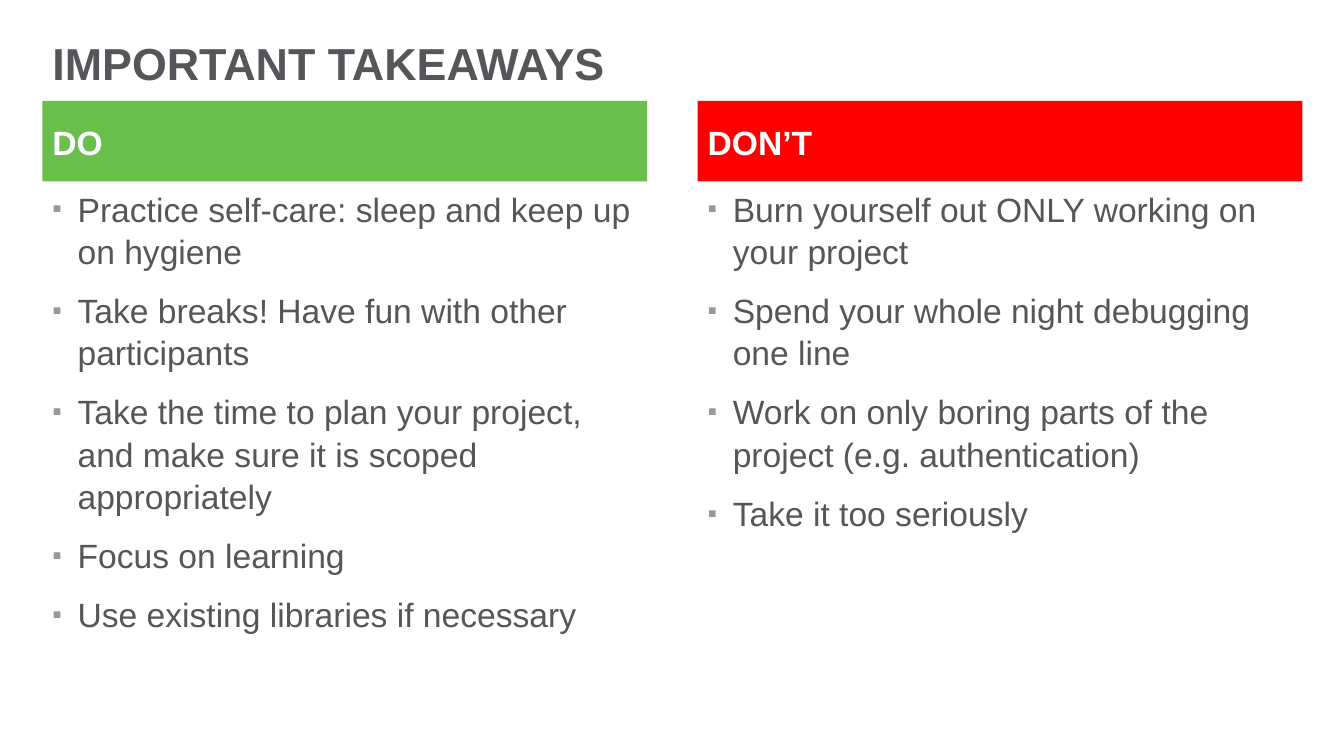
from lxml import etree
from pptx import Presentation
from pptx.dml.color import RGBColor
from pptx.enum.text import MSO_ANCHOR, MSO_AUTO_SIZE, PP_ALIGN
from pptx.oxml.ns import qn
from pptx.util import Pt

GREY = RGBColor(0x56, 0x56, 0x5A)
BULLET_GREY = RGBColor(0x98, 0x98, 0x9A)
GREEN = RGBColor(0x6A, 0xBF, 0x4B)
RED = RGBColor(0xFF, 0x00, 0x00)
WHITE = RGBColor(0xFF, 0xFF, 0xFF)

LEFT, COLUMN_STEP, COLUMN_WIDTH = 30.24, 468, 432

TITLE_FONT = dict(name="Arial", size=Pt(32), bold=True)
HEADER_FONT = dict(name="Arial", size=Pt(24), bold=True)
LIST_FONT = dict(name="Arial", size=Pt(24), bold=False)

TITLE_SPACING = dict(alignment=PP_ALIGN.LEFT, line_spacing=0.9,
                     space_before=Pt(0), space_after=Pt(0))
BODY_SPACING = dict(alignment=PP_ALIGN.LEFT, line_spacing=1.05,
                    space_before=Pt(0), space_after=Pt(12))

COLUMNS = [
    ("DO", GREEN, [
        "Practice self-care: sleep and keep up on hygiene",
        "Take breaks! Have fun with other participants",
        "Take the time to plan your project, and make sure it is scoped appropriately",
        "Focus on learning",
        "Use existing libraries if necessary",
    ]),
    ("DON’T", RED, [
        "Burn yourself out ONLY working on your project",
        "Spend your whole night debugging one line",
        "Work on only boring parts of the project (e.g. authentication)",
        "Take it too seriously",
    ]),
]


def set_attributes(target, values):
    for name, value in values.items():
        setattr(target, name, value)


def place(sp, left, top, width, height, anchor, inset_top, inset_bottom):
    set_attributes(sp, dict(left=Pt(left), top=Pt(top),
                            width=Pt(width), height=Pt(height)))
    tf = sp.text_frame
    set_attributes(tf, dict(
        word_wrap=True, auto_size=MSO_AUTO_SIZE.NONE, vertical_anchor=anchor,
        margin_left=Pt(7.2), margin_right=Pt(7.2),
        margin_top=Pt(inset_top), margin_bottom=Pt(inset_bottom)))
    return tf


def write(p, text, spacing, font, color):
    set_attributes(p, spacing)
    r = p.add_run()
    r.text = text
    set_attributes(r.font, font)
    r.font.color.rgb = color


def add_bullet(p):
    pPr = p._p.get_or_add_pPr()
    pPr.set("marL", str(Pt(18)))
    pPr.set("indent", str(-Pt(18)))
    color = etree.SubElement(pPr, qn("a:buClr"))
    etree.SubElement(color, qn("a:srgbClr"), val=str(BULLET_GREY))
    etree.SubElement(pPr, qn("a:buSzPct"), val="80000")
    etree.SubElement(pPr, qn("a:buFont"), typeface="Arial")
    etree.SubElement(pPr, qn("a:buChar"), char="▪")


def fill_title(sp, text):
    tf = place(sp, LEFT, 18, 900, 54, MSO_ANCHOR.MIDDLE, 3.6, 0)
    write(tf.paragraphs[0], text, TITLE_SPACING, TITLE_FONT, GREY)


def fill_header(sp, left, text, color):
    tf = place(sp, left, 72, COLUMN_WIDTH, 57.6, MSO_ANCHOR.MIDDLE, 0, 0)
    sp.fill.solid()
    sp.fill.fore_color.rgb = color
    write(tf.paragraphs[0], text, BODY_SPACING, HEADER_FONT, WHITE)


def fill_list(sp, left, items):
    tf = place(sp, left, 126, COLUMN_WIDTH, 378, MSO_ANCHOR.TOP, 7.2, 7.2)
    for i, item in enumerate(items):
        p = tf.add_paragraph() if i else tf.paragraphs[0]
        add_bullet(p)
        write(p, item, BODY_SPACING, LIST_FONT, GREY)


def main():
    prs = Presentation()
    prs.slide_width, prs.slide_height = Pt(960), Pt(540)

    # Comparison layout: a title, then a header and a list per column
    s = prs.slides.add_slide(prs.slide_layouts.get_by_name("Comparison"))
    fill_title(s.shapes.title, "IMPORTANT TAKEAWAYS")

    # Columns
    for i, (header, color, items) in enumerate(COLUMNS):
        left = LEFT + i * COLUMN_STEP
        fill_header(s.placeholders[2 * i + 1], left, header, color)
        fill_list(s.placeholders[2 * i + 2], left, items)

    prs.save("out.pptx")


if __name__ == "__main__":
    main()
